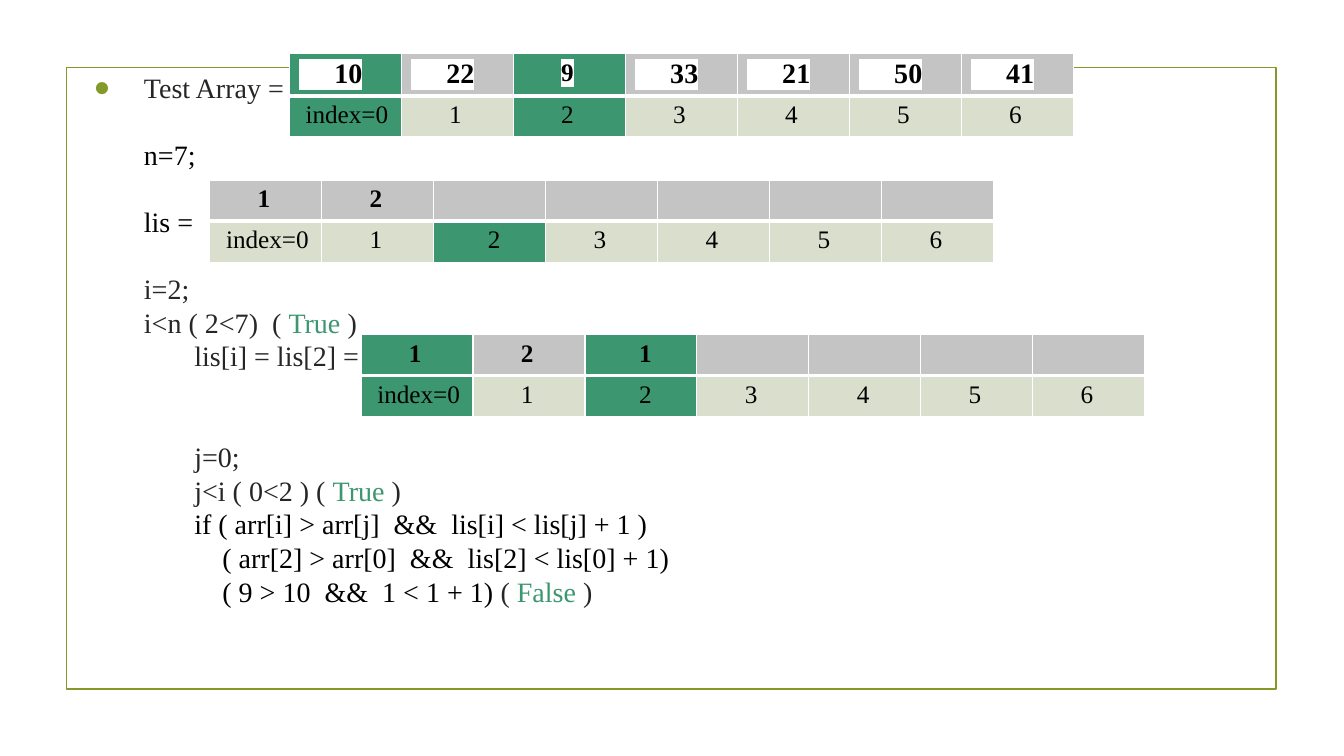
from lxml.etree import SubElement
from pptx import Presentation
from pptx.dml.color import RGBColor
from pptx.enum.shapes import MSO_SHAPE
from pptx.enum.text import MSO_ANCHOR, MSO_AUTO_SIZE
from pptx.oxml import parse_xml
from pptx.oxml.ns import nsdecls, qn
from pptx.util import Pt

FONT = "Times New Roman"
COLORS = {
    "black": "000000",
    "dark": "262626",
    "green": "3C9770",
    "gray": "C4C4C4",
    "pale": "D9DECD",
    "olive": "83992A",
    "white": "FFFFFF",
}
LINE = 24
COLUMN = 80
SPACE = 4.5
OUTER, INNER, CONDITION = 48, 84, 104
TRACE = [
    (0, OUTER, [("Test Array =", "dark")]),
    (1, OUTER, [("n=7;", "black")]),
    (1, OUTER, [("lis =", "black")]),
    (1, OUTER, [("i=2;", "dark")]),
    (0, OUTER, [("i<n ( 2<7)  ( ", "dark"), ("True", "green"), (" )", "dark")]),
    (0, INNER, [("lis[i] = lis[2] = 1;", "dark")]),
    (2, INNER, [("j=0;", "dark")]),
    (0, INNER, [("j<i ( 0<2 ) ( ", "dark"), ("True", "green"), (" )", "dark")]),
    (0, INNER, [("if ( arr[i] > arr[j]  &&  lis[i] < lis[j] + 1 )", "black")]),
    (0, CONDITION, [("( arr[2] > arr[0]  &&  lis[2] < lis[0] + 1)", "black")]),
    (0, CONDITION, [("( 9 > 10  &&  1 < 1 + 1) ", "black"), ("( ", "dark"),
                    ("False", "green"), (" )", "dark")]),
]


def rgb(color):
    """Return the named colour."""
    return RGBColor.from_string(COLORS[color])


def add_run(paragraph, text, size, color, bold=False, highlight=None):
    """Add one formatted run, highlighted if a colour is given."""
    run = paragraph.add_run()
    run.text = text
    run.font.size = Pt(size)
    run.font.bold = bold
    run.font.color.rgb = rgb(color)
    run.font.name = FONT
    if highlight:
        mark = parse_xml(f'<a:highlight {nsdecls("a")}>'
                         f'<a:srgbClr val="{COLORS[highlight]}"/></a:highlight>')
        run.font._element.find(qn("a:solidFill")).addnext(mark)


def set_bullet(paragraph, left, bulleted):
    """Indent a paragraph and give it a round bullet or none."""
    properties = paragraph._p.get_or_add_pPr()
    properties.set("marL", str(Pt(left)))
    properties.set("indent", str(Pt(-36 if bulleted else 0)))
    if not bulleted:
        SubElement(properties, qn("a:buNone"))
        return
    color = SubElement(properties, qn("a:buClr"))
    SubElement(color, qn("a:srgbClr"), val=COLORS["olive"])
    SubElement(properties, qn("a:buFont"), typeface="Arial")
    SubElement(properties, qn("a:buChar"), char="●")


def fill_trace(body):
    """Write the traced statements into the body placeholder."""
    body.left, body.top, body.width, body.height = Pt(45.4), Pt(39), Pt(841.7), Pt(472.3)
    frame = body.text_frame
    frame.word_wrap = True
    frame.auto_size = MSO_AUTO_SIZE.NONE
    frame.vertical_anchor = MSO_ANCHOR.TOP
    frame.margin_left = frame.margin_right = frame.margin_bottom = Pt(9.4)
    frame.margin_top = Pt(11)
    for number, (skipped, left, parts) in enumerate(TRACE):
        statement = frame.add_paragraph() if number else frame.paragraphs[0]
        statement.line_spacing = Pt(LINE)
        statement.space_before = Pt(skipped * LINE)
        statement.space_after = Pt(0)
        set_bullet(statement, left, bulleted=number == 0)
        for text, color in parts:
            add_run(statement, text, 20, color)


def add_frame(slide, body):
    """Draw the olive frame behind the body."""
    frame = slide.shapes.add_shape(MSO_SHAPE.RECTANGLE, Pt(47.6), Pt(48.2), Pt(864), Pt(444))
    frame.shadow.inherit = False
    frame.fill.background()
    frame.line.color.rgb = rgb("olive")
    frame.line.width = Pt(1.25)
    body._element.addprevious(frame._element)


def set_borders(cell, top, bottom):
    """Give a cell white borders, thin at both sides."""
    properties = cell._tc.get_or_add_tcPr()
    sides = [("lnL", 1), ("lnR", 1), ("lnT", top), ("lnB", bottom)]
    for position, (side, width) in enumerate(sides):
        border = parse_xml(f'<a:{side} {nsdecls("a")} w="{Pt(width)}"><a:solidFill>'
                           f'<a:srgbClr val="{COLORS["white"]}"/></a:solidFill></a:{side}>')
        properties.insert(position, border)


def add_array(slide, left, top, heights, values, green_values, green_indexes,
              wide_index=None, boxed=()):
    """Add a table of array values above their indexes."""
    array = slide.shapes.add_table(2, 7, Pt(left), Pt(top), Pt(7 * COLUMN), Pt(sum(heights))).table
    array.first_row = array.horz_banding = False
    for row, height in enumerate(heights):
        array.rows[row].height = Pt(height)
    for index in range(7):
        array.columns[index].width = Pt(COLUMN)
        spaces = 7 if index == wide_index else 6
        value, label = array.cell(0, index), array.cell(1, index)
        for cell in (value, label):
            cell.fill.solid()
            cell.margin_left = Pt(7.2 + spaces * SPACE)
        value.fill.fore_color.rgb = rgb("green" if index in green_values else "gray")
        label.fill.fore_color.rgb = rgb("green" if index in green_indexes else "pale")
        set_borders(value, 1, 3)
        set_borders(label, 3, 1)
        if index in boxed:
            value.margin_left = Pt(7.2)
            add_run(value.text_frame.paragraphs[0], f"     {values[index]}", 20, "black", True, "white")
        elif index < len(values):
            highlight = "white" if boxed else None
            add_run(value.text_frame.paragraphs[0], values[index], 18, "black", True, highlight)
        if index == 0:
            label.margin_left = Pt(7.2 + SPACE)
        text = "index=0" if index == 0 else str(index)
        add_run(label.text_frame.paragraphs[0], text, 18, "black")


def main():
    """Build the slide and save it."""
    deck = Presentation()
    deck.slide_width, deck.slide_height = Pt(960), Pt(540)
    slide = deck.slides.add_slide(deck.slide_layouts[1])
    title, body = slide.placeholders
    title._element.getparent().remove(title._element)
    fill_trace(body)
    add_frame(slide, body)
    add_array(slide, 206.6, 38.2, (30.2, 29.2), ["10", "22", "9", "33", "21", "50", "41"],
              {0, 2}, {0, 2}, boxed={0, 1, 3, 4, 5, 6})
    add_array(slide, 149.8, 128.9, (29.2, 29.2), ["1", "2"], set(), {2}, wide_index=2)
    add_array(slide, 257.8, 239, (29.2, 29.2), ["1", "2", "1"], {0, 2}, {0, 2}, wide_index=2)
    deck.save("out.pptx")


if __name__ == "__main__":
    main()
